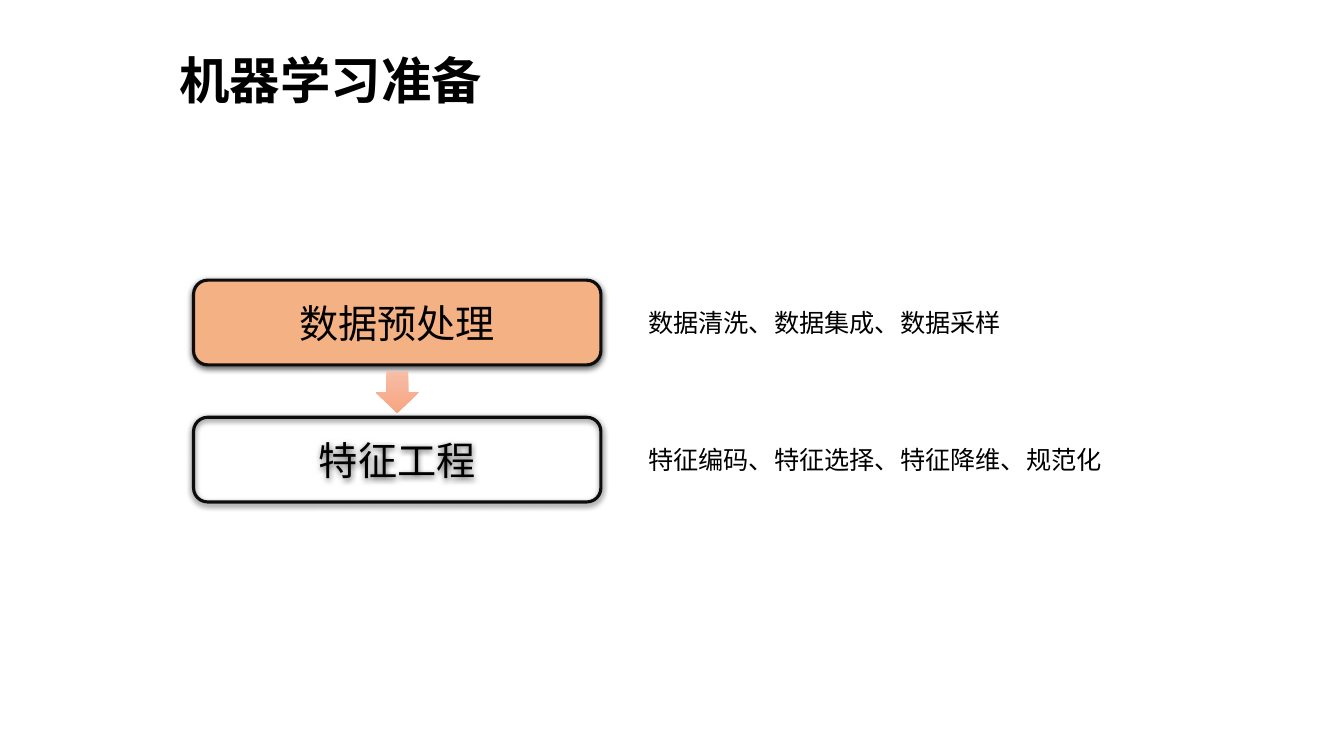
from lxml.etree import SubElement
from pptx import Presentation
from pptx.dml.color import RGBColor
from pptx.enum.shapes import MSO_SHAPE as Preset
from pptx.enum.text import MSO_ANCHOR as Anchor, MSO_AUTO_SIZE as AutoSize, PP_ALIGN as Align
from pptx.oxml.ns import qn
from pptx.util import Inches, Pt

FONT = "Noto Sans CJK SC"
BLACK = "000000"
STEPS = [
    ("数据预处理", "数据清洗、数据集成、数据采样", "F4B183", 3.7),
    ("特征工程", "特征编码、特征选择、特征降维、规范化", None, 4.7),
]
STEP_LEFT, STEP_TOP, STEP_PITCH = 1.92, 2.78, 1.36
STEP_WIDTH, STEP_HEIGHT = 4.04, 0.84
DETAIL_LEFT, DETAIL_HEIGHT = 6.33, 0.4
ARROW_WIDTH, ARROW_HEIGHT = 0.43, 0.41


def paint(color_format, hex_color):
    color_format.rgb = RGBColor.from_string(hex_color)


def write(box, text, size, align=Align.LEFT, anchor=Anchor.TOP, bold=False, wrap=True):
    frame = box.text_frame
    frame.word_wrap = wrap
    frame.vertical_anchor = anchor
    para = frame.paragraphs[0]
    para.alignment = align
    span = para.add_run()
    span.text = text
    span.font.size = Pt(size)
    span.font.bold = bold
    span.font.name = FONT
    paint(span.font.color, BLACK)
    SubElement(span.font._element, qn("a:ea"), typeface=FONT)


def add_soft_shadow(shape):
    shape.shadow.inherit = False
    effects = shape.element.spPr.find(qn("a:effectLst"))
    shadow = SubElement(effects, qn("a:outerShdw"), blurRad=str(Pt(4.5)),
                        dist=str(Pt(1.5)), dir="5400000", algn="ctr", rotWithShape="0")
    color = SubElement(shadow, qn("a:srgbClr"), val=BLACK)
    SubElement(color, qn("a:alpha"), val="63000")


def add_title(page, text):
    title = page.shapes.title
    title.left, title.top = Inches(1.68), Inches(0.44)
    title.width, title.height = Inches(3.84), Inches(0.71)
    write(title, text, 36, bold=True)
    title.text_frame.auto_size = AutoSize.SHAPE_TO_FIT_TEXT


def add_step(page, top, name, fill):
    box = page.shapes.add_shape(Preset.ROUNDED_RECTANGLE, Inches(STEP_LEFT), Inches(top),
                                Inches(STEP_WIDTH), Inches(STEP_HEIGHT))
    if fill:
        box.fill.solid()
        paint(box.fill.fore_color, fill)
    else:
        box.fill.background()
    box.line.width = Pt(2.25)
    paint(box.line.color, "0D0D0D")
    add_soft_shadow(box)
    write(box, name, 28, Align.CENTER, Anchor.MIDDLE)


def add_detail(page, top, text, width):
    """Add a note beside a step, centred on the step's height."""
    box = page.shapes.add_textbox(
        Inches(DETAIL_LEFT), Inches(top + (STEP_HEIGHT - DETAIL_HEIGHT) / 2),
        Inches(width), Inches(DETAIL_HEIGHT))
    write(box, text, 18, wrap=False)
    box.text_frame.auto_size = AutoSize.SHAPE_TO_FIT_TEXT


def add_down_arrow(page, step_top):
    """Add an arrow in the gap that follows a step."""
    gap = STEP_PITCH - STEP_HEIGHT
    arrow = page.shapes.add_shape(
        Preset.DOWN_ARROW,
        Inches(STEP_LEFT + (STEP_WIDTH - ARROW_WIDTH) / 2),
        Inches(step_top + STEP_HEIGHT + (gap - ARROW_HEIGHT) / 2 + 0.01),
        Inches(ARROW_WIDTH), Inches(ARROW_HEIGHT))
    arrow.shadow.inherit = False
    arrow.line.fill.background()
    arrow.fill.gradient()
    arrow.fill.gradient_angle = 270
    for stop, hex_color in zip(arrow.fill.gradient_stops, ("F7BDA5", "F8A582")):
        paint(stop.color, hex_color)


def main():
    deck = Presentation()
    deck.slide_width, deck.slide_height = Inches(13.33), Inches(7.5)
    page = deck.slides.add_slide(deck.slide_layouts[5])
    add_title(page, "机器学习准备")
    for row, (name, detail, fill, width) in enumerate(STEPS):
        top = STEP_TOP + row * STEP_PITCH
        if row:
            add_down_arrow(page, top - STEP_PITCH)
        add_step(page, top, name, fill)
        add_detail(page, top, detail, width)
    deck.save("out.pptx")


if __name__ == "__main__":
    main()
